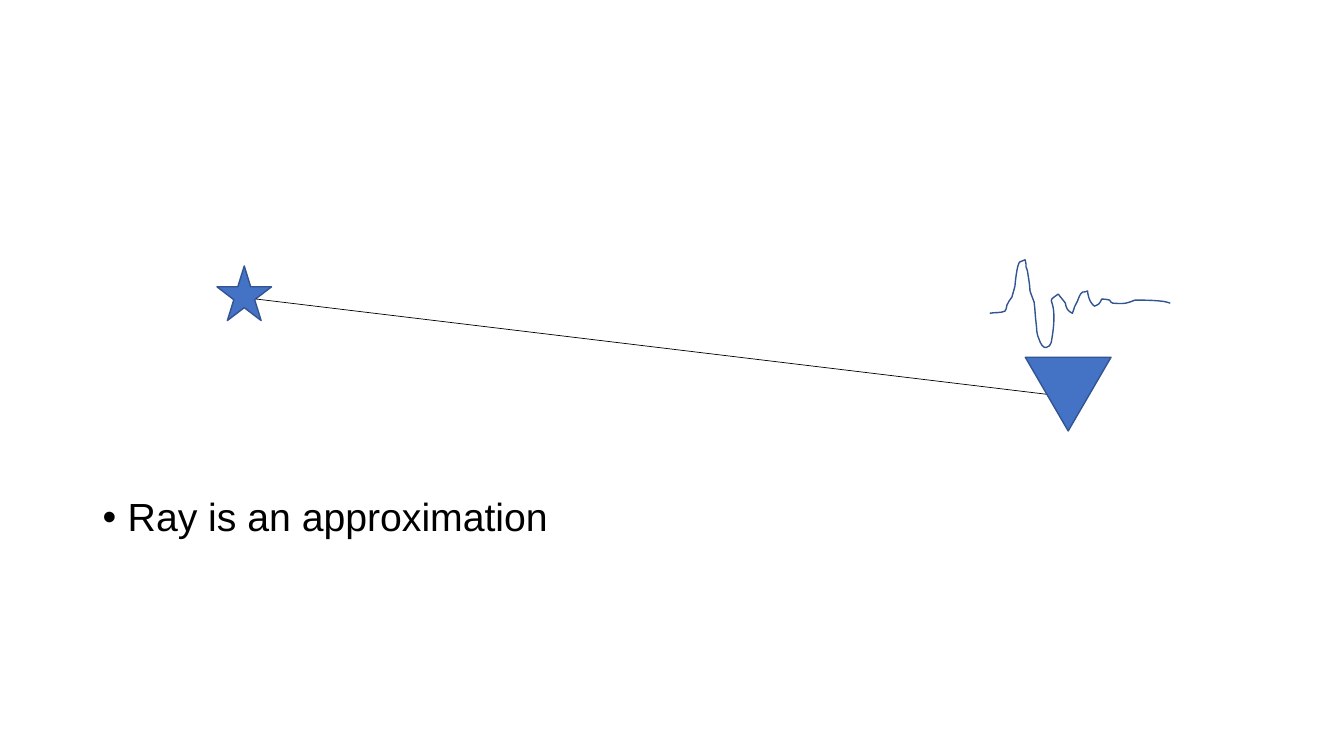
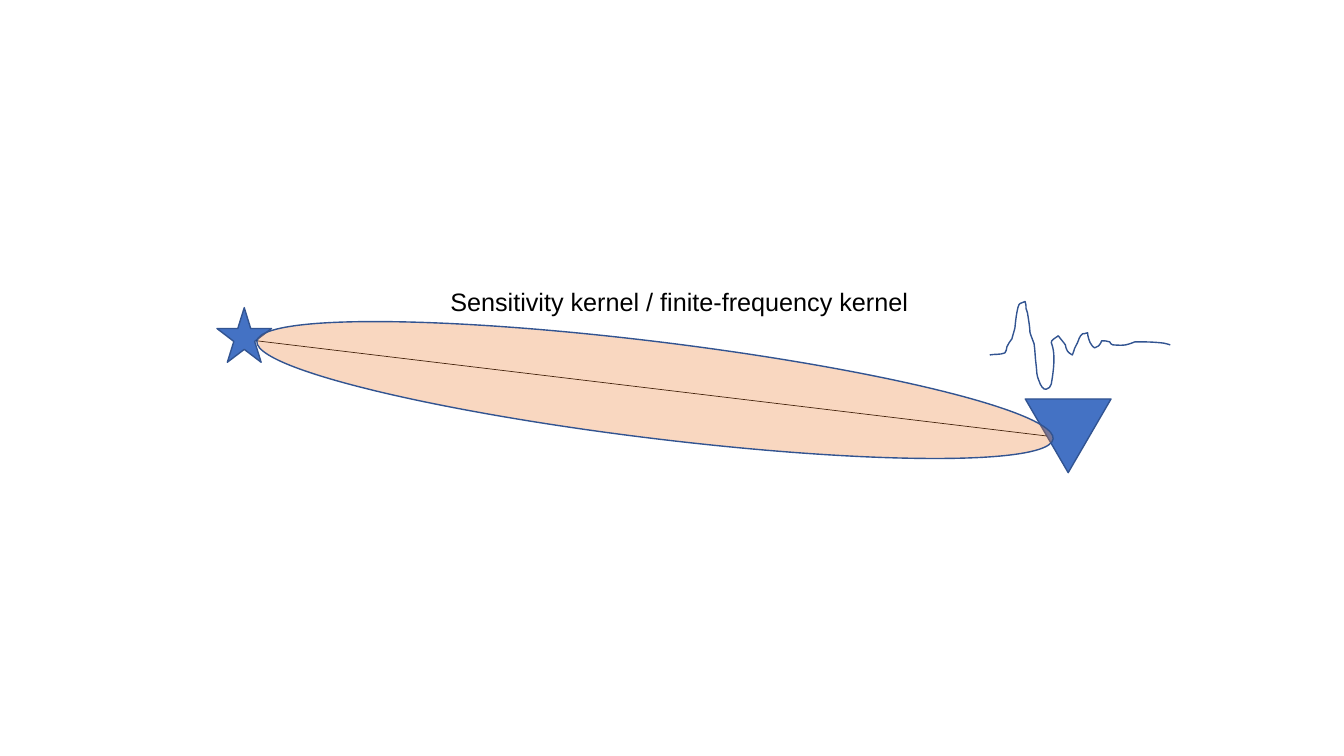
"""Build two slides comparing a seismic ray with its finite-frequency kernel."""
from lxml.etree import SubElement
from pptx import Presentation
from pptx.dml.color import RGBColor
from pptx.enum.shapes import MSO_CONNECTOR as Connector, MSO_SHAPE as Preset
from pptx.oxml.ns import qn
from pptx.util import Pt

BLUE = RGBColor(0x44, 0x72, 0xC4)
OUTLINE = RGBColor(0x32, 0x54, 0x91)
ORANGE = RGBColor(0xED, 0x7D, 0x31)
BLACK = RGBColor(0, 0, 0)

WAVE_UNIT = 0.72
WAVE_START = (0, 53)
WAVE_SEGMENTS = [
    (5, 52, 10, 53, 15, 51), (17, 50, 16, 47, 17, 45),
    (18, 42, 20, 40, 22, 37), (23, 33, 24, 30, 25, 26),
    (25, 25, 27, 3, 30, 2), (35, 0),
    (36, 2, 36, 5, 36, 7), (37, 10, 38, 12, 38, 15),
    (42, 39, 37, 23, 44, 42), (45, 49, 45, 56, 46, 63),
    (47, 71, 46, 72, 49, 79), (50, 81, 50, 83, 52, 85),
    (53, 87, 55, 87, 56, 87), (58, 86, 61, 85, 61, 82),
    (70, 32, 52, 45, 68, 34), (70, 37, 73, 40, 75, 43),
    (76, 45, 75, 47, 77, 49), (78, 51, 82, 53, 82, 53),
    (86, 42, 82, 51, 87, 41), (88, 39, 89, 34, 92, 32),
    (93, 32, 95, 32, 97, 31), (97, 34, 99, 41, 101, 43),
    (101, 44, 103, 45, 104, 46), (105, 45, 107, 45, 108, 44),
    (110, 43, 110, 40, 111, 39), (114, 38, 116, 40, 119, 40),
    (120, 41, 120, 43, 122, 43), (135, 44, 136, 43, 144, 40),
    (153, 40, 161, 40, 170, 41), (173, 41, 179, 43, 179, 43),
]


def add_text(frame, text, size=18, color=BLACK, font="Arial", bullet=None, indent=18):
    """Write one formatted paragraph into a text frame."""
    paragraph = frame.paragraphs[0]
    if bullet:
        properties = paragraph._p.get_or_add_pPr()
        properties.set("marL", str(Pt(indent)))
        properties.set("indent", str(-Pt(indent)))
        SubElement(properties, qn("a:buFont")).set("typeface", font)
        SubElement(properties, qn("a:buChar")).set("char", bullet)
    paragraph.line_spacing = 0.9
    run = paragraph.add_run()
    run.text = text
    run.font.size = Pt(size)
    run.font.name = font
    run.font.color.rgb = color


def bend_segments(shape, segments, unit):
    """Turn straight freeform segments with control points into cubic curves."""
    for element, segment in zip(list(shape._element.iter(qn("a:lnTo"))), segments):
        if len(segment) == 6:
            curve = SubElement(element.getparent(), qn("a:cubicBezTo"))
            element.getparent().replace(element, curve)
            for x, y in zip(segment[::2], segment[1::2]):
                point = SubElement(curve, qn("a:pt"))
                point.set("x", str(Pt(x * unit)))
                point.set("y", str(Pt(y * unit)))


class Deck:
    """Hold the presentation, its style and the current slide."""

    def __init__(self):
        """Start an empty widescreen presentation."""
        self.presentation = Presentation()
        self.presentation.slide_width = Pt(960)
        self.presentation.slide_height = Pt(540)
        self.slide = None

    def new_slide(self):
        """Add a blank slide and make it current."""
        self.slide = self.presentation.slides.add_slide(self.presentation.slide_layouts[6])

    def text_box(self, left, top, width, height, text, **text_format):
        """Add a wrapped text box."""
        box = self.slide.shapes.add_textbox(Pt(left), Pt(top), Pt(width), Pt(height))
        box.text_frame.word_wrap = True
        add_text(box.text_frame, text, **text_format)

    def outline(self, shape):
        """Give a shape the common outline and no shadow."""
        shape.shadow.inherit = False
        shape.line.color.rgb = OUTLINE
        shape.line.width = Pt(1)

    def preset(self, kind, left, top, width, height, fill=BLUE, rotation=0, opacity=None):
        """Add a filled preset shape."""
        shape = self.slide.shapes.add_shape(kind, Pt(left), Pt(top), Pt(width), Pt(height))
        shape.rotation = rotation
        shape.fill.solid()
        shape.fill.fore_color.rgb = fill
        if opacity is not None:
            color = shape._element.spPr.find(qn("a:solidFill"))[0]
            SubElement(color, qn("a:alpha")).set("val", str(opacity * 1000))
        self.outline(shape)

    def line(self, x1, y1, x2, y2):
        """Add a thin black line."""
        line = self.slide.shapes.add_connector(
            Connector.STRAIGHT, Pt(x1), Pt(y1), Pt(x2), Pt(y2))
        line.line.color.rgb = BLACK
        line.line.width = Pt(0.5)
        SubElement(line._element.spPr, qn("a:effectLst"))

    def waveform(self, left, top):
        """Draw the recorded pulse as an open curve."""
        ends = [WAVE_START] + [segment[-2:] for segment in WAVE_SEGMENTS]
        places = [(Pt(left + x * WAVE_UNIT), Pt(top + y * WAVE_UNIT)) for x, y in ends]
        builder = self.slide.shapes.build_freeform(*places[0])
        builder.add_line_segments(places[1:], close=False)
        wave = builder.convert_to_shape()
        bend_segments(wave, WAVE_SEGMENTS, WAVE_UNIT)
        wave.fill.background()
        self.outline(wave)

    def ray_path(self, top):
        """Draw source, receiver, ray and recorded pulse."""
        self.preset(Preset.STAR_5_POINT, 155, top + 4.4, 39, 39)
        self.preset(Preset.ISOSCELES_TRIANGLE, 732.4, top + 69.6, 61.2, 52.6, rotation=180)
        self.line(183, top + 28, 747.4, top + 96)
        self.waveform(707, top)


def main():
    """Build and save both slides."""
    deck = Deck()
    deck.new_slide()
    deck.text_box(66.2, 352, 828, 134.6, "Ray is an approximation", size=28, bullet="•")
    deck.ray_path(185.6)

    deck.new_slide()
    deck.text_box(314.6, 203.4, 364.3, 57, "Sensitivity kernel / finite-frequency kernel")
    deck.ray_path(215.4)
    deck.preset(Preset.OVAL, 181.4, 244.1, 573, 69, fill=ORANGE, rotation=7, opacity=30)
    deck.presentation.save("out.pptx")


if __name__ == "__main__":
    main()
